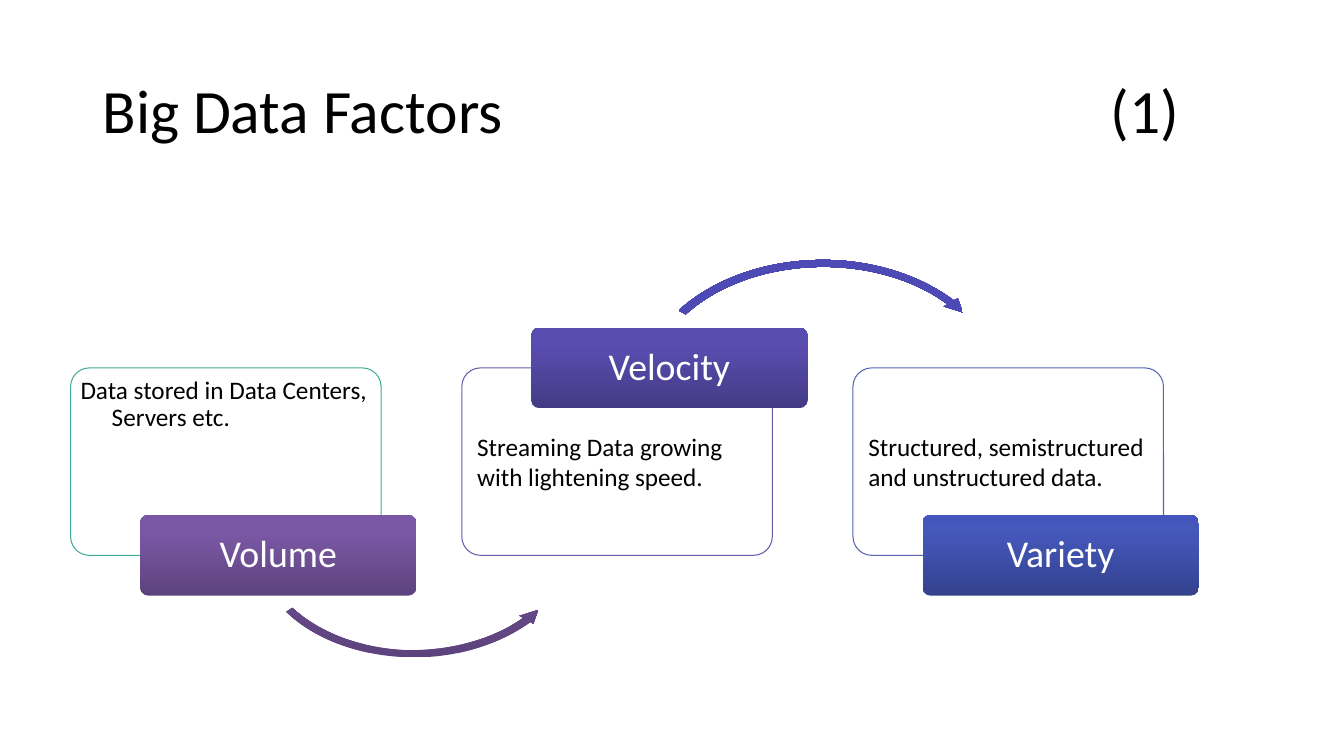
from copy import deepcopy

from lxml import etree
from pptx import Presentation
from pptx.dml.color import RGBColor
from pptx.enum.shapes import MSO_SHAPE
from pptx.enum.text import MSO_ANCHOR, PP_ALIGN
from pptx.oxml.ns import qn
from pptx.util import Inches, Pt

ROUNDED = MSO_SHAPE.ROUNDED_RECTANGLE
TOP, MIDDLE = MSO_ANCHOR.TOP, MSO_ANCHOR.MIDDLE
LEFT, CENTER = PP_ALIGN.LEFT, PP_ALIGN.CENTER

FONT = "Calibri"
BLACK = RGBColor(0x00, 0x00, 0x00)
WHITE = RGBColor(0xFF, 0xFF, 0xFF)
TEAL = RGBColor(0x3F, 0xAC, 0x98)
VIOLET = RGBColor(0x66, 0x5C, 0xAA)
BLUE = RGBColor(0x56, 0x65, 0xB3)
VOLUME_SHADES = (RGBColor(0x5D, 0x43, 0x7D), RGBColor(0x7B, 0x58, 0xA6),
                 RGBColor(0x7C, 0x56, 0xA8))
VELOCITY_SHADES = (RGBColor(0x44, 0x3B, 0x85), RGBColor(0x5A, 0x4D, 0xB0),
                   RGBColor(0x58, 0x4C, 0xB3))
VARIETY_SHADES = (RGBColor(0x34, 0x42, 0x8E), RGBColor(0x45, 0x58, 0xBB),
                  RGBColor(0x44, 0x56, 0xBE))
ARROW_SHADES = (RGBColor(0x3B, 0x38, 0x89), RGBColor(0x4E, 0x4A, 0xB5),
                RGBColor(0x4C, 0x49, 0xB8))
SHADE_POSITIONS = (0, 0.8, 1)

# Row of cards, in inches
ROW_LEFT, ROW_TOP, COLUMN_STEP = 0.7, 3.65, 3.88
CARD_WIDTH, CARD_HEIGHT = 3.08, 1.86
BADGE_WIDTH, BADGE_HEIGHT, BADGE_INDENT = 2.74, 0.8, 0.69

# (name, description, outline, badge shades, badge above the card)
FACTORS = [
    ("Volume", "Data stored in Data Centers, Servers etc.", TEAL, VOLUME_SHADES, False),
    ("Velocity", "Streaming Data growing with lightening speed.", VIOLET, VELOCITY_SHADES, True),
    ("Variety", "Structured, semistructured and unstructured data.", BLUE, VARIETY_SHADES, False),
]

# Arrow outlines in inches from their box: one point is a line, three a curve
VOLUME_OUTLINE = [
    [(0.39, 1.93)], [(0.45, 1.89)],
    [(0.72, 2.14), (1.13, 2.29), (1.57, 2.31)],
    [(2, 2.32), (2.43, 2.21), (2.74, 1.99)],
    [(2.7, 1.97)], [(2.89, 1.91)], [(2.84, 2.05)], [(2.81, 2.03)],
    [(2.48, 2.27), (2.03, 2.4), (1.57, 2.38)],
    [(1.1, 2.36), (0.67, 2.2), (0.39, 1.93)],
]
VELOCITY_OUTLINE = [
    [(0.43, 0.55)],
    [(0.76, 0.25), (1.24, 0.07), (1.77, 0.05)],
    [(2.29, 0.03), (2.8, 0.18), (3.16, 0.45)],
    [(3.2, 0.43)], [(3.25, 0.57)], [(3.06, 0.51)], [(3.1, 0.49)],
    [(2.75, 0.23), (2.26, 0.1), (1.77, 0.12)],
    [(1.27, 0.14), (0.81, 0.31), (0.5, 0.59)],
]
# Arrows that follow a card: (left, top, width, height, outline, shades)
ARROWS = {
    "Volume": (2.45, 4.14, 3.31, 2.43, VOLUME_OUTLINE, VOLUME_SHADES),
    "Velocity": (6.3, 2.53, 3.71, 2.72, VELOCITY_OUTLINE, ARROW_SHADES),
}


def write_text(shape, text, size, color, alignment=LEFT, anchor=MIDDLE, inset=0.1):
    frame = shape.text_frame
    frame.word_wrap = True
    frame.vertical_anchor = anchor
    frame.margin_left = frame.margin_right = Inches(inset)
    frame.margin_top = frame.margin_bottom = Inches(inset)
    paragraph = frame.paragraphs[0]
    paragraph.text = text
    paragraph.alignment = alignment
    paragraph.font.name = FONT
    paragraph.font.size = Pt(size)
    paragraph.font.color.rgb = color
    return paragraph


def add_textbox(slide, left, top, width, height):
    return slide.shapes.add_textbox(Inches(left), Inches(top), Inches(width), Inches(height))


def add_rounded(slide, left, top, width, height):
    shape = slide.shapes.add_shape(
        ROUNDED, Inches(left), Inches(top), Inches(width), Inches(height))
    shape.adjustments[0] = 0.1
    shape.shadow.inherit = False
    return shape


def shade_upwards(shape, shades):
    shape.fill.gradient()
    shape.fill.gradient_angle = 90
    stop_list = shape._element.spPr.find(qn("a:gradFill")).find(qn("a:gsLst"))
    stop_list.append(deepcopy(stop_list[-1]))
    for stop, color, position in zip(shape.fill.gradient_stops, shades, SHADE_POSITIONS):
        stop.color.rgb = color
        stop.position = position
    shape.line.fill.background()


def add_title(slide, left, top, width, height):
    title = add_textbox(slide, left, top, width, height)
    paragraph = write_text(title, "Big Data Factors\t(1)", 44, BLACK)
    paragraph.line_spacing = 0.9
    # One tab stop sets the page number apart
    tabs = etree.Element(qn("a:tabLst"))
    etree.SubElement(tabs, qn("a:tab"), pos=str(Inches(10)), algn="l")
    paragraph.font._element.addprevious(tabs)


def add_card(slide, left, top, name, description, outline):
    card = add_rounded(slide, left, top, CARD_WIDTH, CARD_HEIGHT)
    card.fill.solid()
    card.fill.fore_color.rgb = WHITE
    card.line.color.rgb = outline
    card.line.width = Pt(0.75)
    if name != "Volume":
        write_text(card, description, 18, BLACK)
        return
    # Hanging text in the part above the badge
    note = add_textbox(slide, left, top, CARD_WIDTH, CARD_HEIGHT - BADGE_HEIGHT / 2)
    paragraph = write_text(note, description, 18, BLACK, anchor=TOP)
    paragraph.line_spacing = 0.9
    properties = paragraph._p.get_or_add_pPr()
    properties.set("marL", str(Inches(0.31)))
    properties.set("indent", str(Inches(-0.31)))


def add_badge(slide, left, middle, name, shades):
    badge = add_rounded(slide, left, middle - BADGE_HEIGHT / 2, BADGE_WIDTH, BADGE_HEIGHT)
    shade_upwards(badge, shades)
    write_text(badge, name, 27, WHITE, CENTER, inset=0.05).line_spacing = 0.9


def add_curved_arrow(slide, left, top, width, height, outline, shades):
    # The frame sets the size; the curved outline then takes its place
    right, bottom = Inches(left + width), Inches(top + height)
    builder = slide.shapes.build_freeform(Inches(left), Inches(top), scale=1.0)
    builder.add_line_segments([(right, Inches(top)), (right, bottom), (Inches(left), bottom)])
    arrow = builder.convert_to_shape()
    contour = next(arrow._element.iter(qn("a:path")))
    for command in list(contour):
        contour.remove(command)
    for index, points in enumerate(outline):
        tag = "a:moveTo" if index == 0 else "a:lnTo" if len(points) == 1 else "a:cubicBezTo"
        command = etree.SubElement(contour, qn(tag))
        for x, y in points:
            etree.SubElement(command, qn("a:pt"), x=str(Inches(x)), y=str(Inches(y)))
    etree.SubElement(contour, qn("a:close"))
    arrow.shadow.inherit = False
    shade_upwards(arrow, shades)


def add_factor(slide, left, top, factor):
    name, description, outline, shades, badge_above = factor
    add_card(slide, left, top, name, description, outline)
    if name in ARROWS:
        add_curved_arrow(slide, *ARROWS[name])
    # The badge is centred on the card's upper or lower edge
    edge = top if badge_above else top + CARD_HEIGHT
    add_badge(slide, left + BADGE_INDENT, edge, name, shades)


def main():
    presentation = Presentation()
    presentation.slide_width, presentation.slide_height = Inches(13.33), Inches(7.5)
    slide = presentation.slides.add_slide(presentation.slide_layouts[6])
    add_title(slide, 0.92, 0.4, 11.5, 1.45)
    for column, factor in enumerate(FACTORS):
        add_factor(slide, ROW_LEFT + column * COLUMN_STEP, ROW_TOP, factor)
    presentation.save("out.pptx")


if __name__ == "__main__":
    main()
